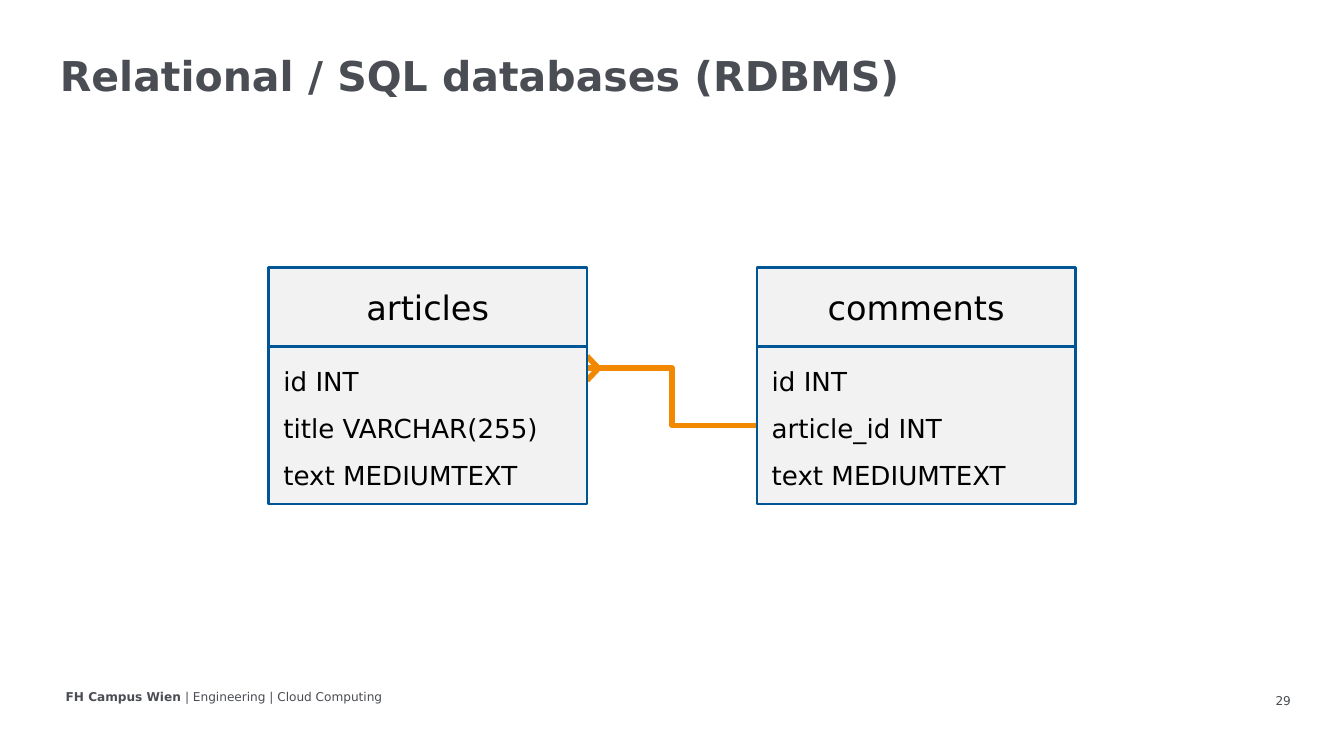
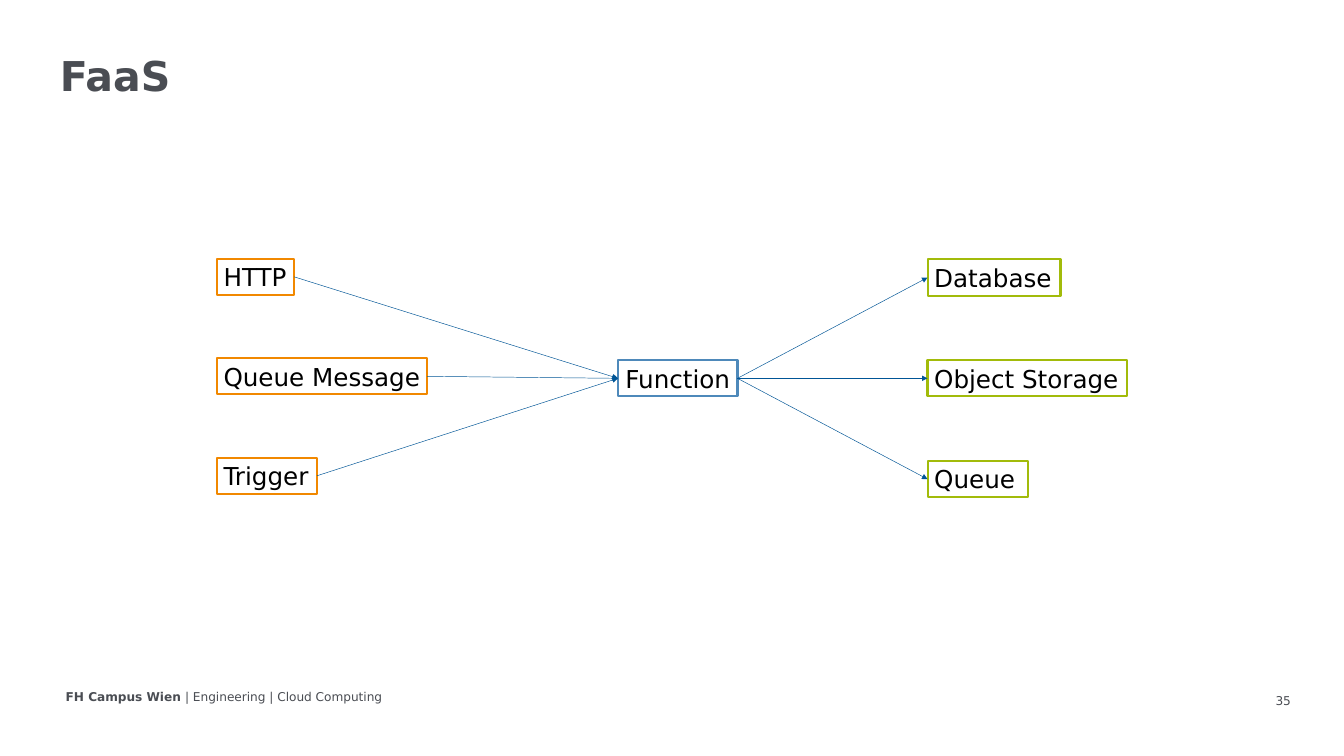
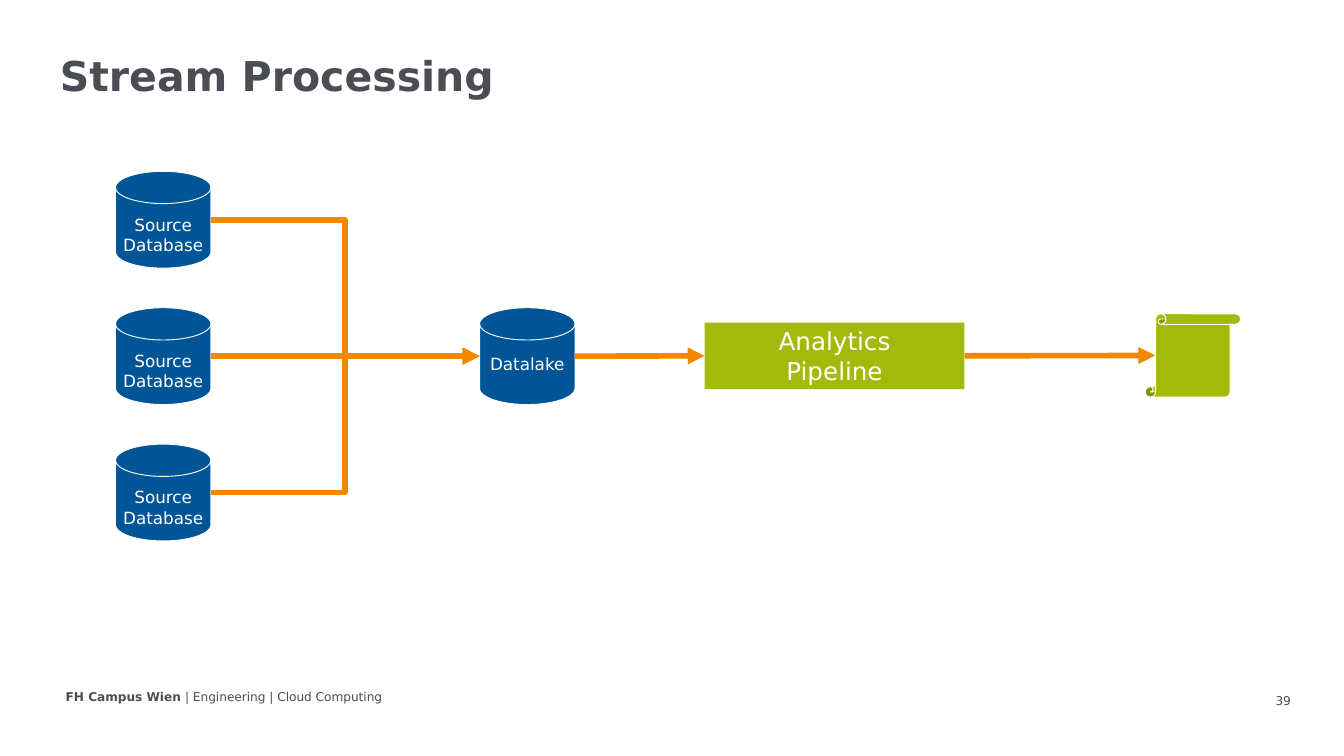
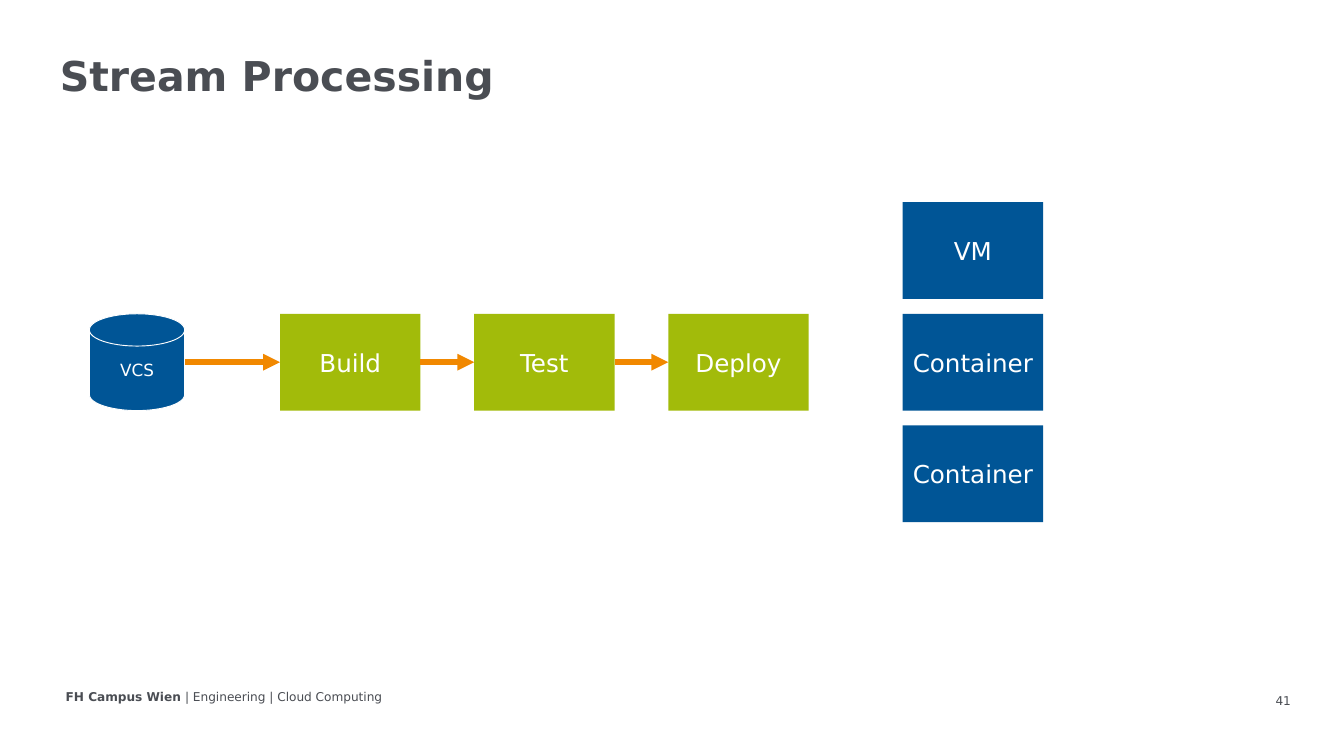
from dataclasses import dataclass

from lxml.etree import SubElement
from pptx import Presentation
from pptx.dml.color import RGBColor as RGB
from pptx.enum.shapes import MSO_CONNECTOR as Line, MSO_SHAPE as Shape
from pptx.enum.text import MSO_ANCHOR as Anchor, PP_ALIGN as Align
from pptx.oxml.ns import qn
from pptx.util import Pt

PX = 9144  # EMU per px, 100 px to the inch


@dataclass(frozen=True)
class Theme:
    font: str = "DejaVu Sans"
    grey: str = "4A4D53"
    black: str = "000000"
    white: str = "FFFFFF"
    panel: str = "F2F2F2"
    blue: str = "005596"
    light_blue: str = "4E89BA"
    orange: str = "F18800"
    green: str = "A2BB0A"
    title: float = 44
    heading: float = 36
    field: float = 28
    node: float = 26.4
    label: float = 18
    footer: float = 13
    flow: float = 6
    border: float = 3
    frame: float = 2.25
    hairline: float = 0.5


T = Theme()

# Content
FOOTER = [("FH Campus Wien ", True), ("| Engineering | Cloud Computing", False)]

TABLES = [
    ("articles", 400, ["id INT", "title VARCHAR(255)", "text MEDIUMTEXT"]),
    ("comments", 1127, ["id INT", "article_id INT", "text MEDIUMTEXT"]),
]

TRIGGERS = [("HTTP", 115), ("Queue Message", 313), ("Trigger", 149)]
OUTPUTS = [("Database", 198), ("Object Storage", 297), ("Queue", 149)]

SOURCES = [["Source", "Database"]] * 3
PIPELINE = ["Analytics", "Pipeline"]

STAGES = ["Build", "Test", "Deploy"]
TARGETS = ["VM", "Container", "Container"]

# Sizes
TITLE_AT = (79, 78, 1863, 77)
FOOTER_AT = (88, 1021, 678, 32)
NUMBER_AT = (1492, 1021, 450, 42)
TABLE_W, HEAD_H, BODY_H, TABLE_Y = 474, 118, 234, 398
NODE_H = 54
DISK_W, DISK_H = 142, 144
STAGE_W, STAGE_H = 209, 144


# Helpers
def emu(*lengths):
    return [n * PX for n in lengths]


def write(tf, lines, size, color, align=Align.LEFT, spacing=None, bold=False):
    """Fill a text frame; a line is a string or a list of (text, bold) runs."""
    tf.word_wrap = True
    for i, line in enumerate(lines):
        p = tf.paragraphs[0] if i == 0 else tf.add_paragraph()
        p.alignment = align
        if spacing:
            p.line_spacing = spacing
        for text, strong in [(line, bold)] if isinstance(line, str) else line:
            r = p.add_run()
            r.text = text
            r.font.name, r.font.size, r.font.bold = T.font, Pt(size), strong
            r.font.color.rgb = RGB.from_string(color)


def add_box(shapes, at, fill=None, line=None, width=1, geom=Shape.RECTANGLE):
    sp = shapes.add_shape(geom, *emu(*at))
    sp.shadow.inherit = False
    if fill:
        sp.fill.solid()
        sp.fill.fore_color.rgb = RGB.from_string(fill)
    else:
        sp.fill.background()
    if line:
        sp.line.width = Pt(width)
        sp.line.color.rgb = RGB.from_string(line)
    else:
        sp.line.fill.background()
    return sp


def add_line(s, start, end, color=T.orange, width=T.flow, bent=False, arrow=True):
    """Draw a connector between two points given in EMU."""
    c = s.shapes.add_connector(Line.ELBOW if bent else Line.STRAIGHT, *start, *end)
    c.line.width = Pt(width)
    c.line.color.rgb = RGB.from_string(color)
    sp_pr = c.element.spPr
    if arrow:
        SubElement(sp_pr.find(qn("a:ln")), qn("a:tailEnd"), type="triangle")
    SubElement(sp_pr, qn("a:effectLst"))


def link(s, a, b, inset=0, **style):
    """Arrow from the right side of a to the left side of b."""
    add_line(s, (a.left + a.width, a.top + a.height // 2),
             (b.left + inset * PX, b.top + b.height // 2), **style)


def add_disk(s, x, y, lines):
    """Database disk grouped with its label."""
    group = s.shapes.add_group_shape()
    disk = add_box(group.shapes, (x, y, DISK_W, DISK_H), T.blue, T.white,
                   geom=Shape.FLOWCHART_MAGNETIC_DISK)
    drop, height = (59, 71) if len(lines) > 1 else (64, 40)
    label = group.shapes.add_textbox(*emu(x, y + drop, DISK_W, height))
    write(label.text_frame, lines, T.label, T.white, Align.CENTER)
    return disk


def add_block(s, at, lines, fill):
    sp = add_box(s.shapes, at, fill)
    sp.text_frame.vertical_anchor = Anchor.MIDDLE
    write(sp.text_frame, lines, T.node, T.white, Align.CENTER)
    return sp


def add_node(s, x, y, w, text, line, align=Align.LEFT, wrap=True):
    sp = add_box(s.shapes, (x, y, w, NODE_H), None, line, T.frame)
    write(sp.text_frame, [text], T.node, T.black, align)
    sp.text_frame.vertical_anchor = Anchor.TOP
    sp.text_frame.word_wrap = wrap
    return sp


def new_slide(prs, title, number):
    """Slide with title, footer and page number."""
    s = prs.slides.add_slide(prs.slide_layouts[5])
    heading = s.shapes.title
    heading.left, heading.top, heading.width, heading.height = emu(*TITLE_AT)
    heading.text_frame.vertical_anchor = Anchor.TOP
    write(heading.text_frame, [title], T.title, T.grey, spacing=0.9, bold=True)

    footer = s.shapes.add_textbox(*emu(*FOOTER_AT))
    write(footer.text_frame, [FOOTER], T.footer, T.grey)

    tf = s.shapes.add_textbox(*emu(*NUMBER_AT)).text_frame
    tf.margin_left = tf.margin_right = 20 * PX
    tf.margin_top = tf.margin_bottom = 10 * PX
    tf.vertical_anchor = Anchor.MIDDLE
    write(tf, [str(number)], T.footer, T.grey, Align.RIGHT)
    return s


# Slides
def build_relational(prs):
    s = new_slide(prs, "Relational / SQL databases (RDBMS)", 29)
    # One-to-many relation with crow's foot
    edge, foot_y = TABLES[0][1] + TABLE_W, 548
    key_y = TABLE_Y + HEAD_H + BODY_H // 2
    add_line(s, emu(TABLES[1][1], key_y), emu(edge, foot_y), bent=True, arrow=False)
    for toe in (-18, 18):
        add_line(s, emu(edge + 17, foot_y), emu(edge, foot_y + toe), arrow=False)
    # Tables
    for name, x, fields in TABLES:
        head = add_box(s.shapes, (x, TABLE_Y, TABLE_W, HEAD_H),
                       T.panel, T.blue, T.border)
        head.text_frame.vertical_anchor = Anchor.MIDDLE
        write(head.text_frame, [name], T.heading, T.black, Align.CENTER)
        body = add_box(s.shapes, (x, TABLE_Y + HEAD_H, TABLE_W, BODY_H),
                       T.panel, T.blue, T.border)
        body.text_frame.vertical_anchor = Anchor.TOP
        body.text_frame.margin_left = 22 * PX
        write(body.text_frame, fields, T.field, T.black, spacing=1.5)


def build_faas(prs):
    s = new_slide(prs, "FaaS", 35)
    triggers = [add_node(s, 323, 385 + 148 * i, w, text, T.orange, wrap=False)
                for i, (text, w) in enumerate(TRIGGERS)]
    function = add_node(s, 920, 536, 178, "Function", T.light_blue, Align.CENTER)
    outputs = [add_node(s, 1381, 386 + 150 * i, w, text, T.green)
               for i, (text, w) in enumerate(OUTPUTS)]
    pairs = [(t, function) for t in triggers] + [(function, o) for o in outputs]
    for a, b in pairs:
        link(s, a, b, color=T.blue, width=T.hairline)


def build_stream(prs):
    s = new_slide(prs, "Stream Processing", 39)
    sources = [add_disk(s, 172, 255 + 203 * i, lines)
               for i, lines in enumerate(SOURCES)]
    lake = add_disk(s, 714, 458, ["Datalake"])
    for source in sources:
        link(s, source, lake, bent=source.top != lake.top)
    pipeline = add_block(s, (1049, 480, 387, 99), PIPELINE, T.green)
    report = add_box(s.shapes, (1705, 467, 142, 124), T.green, T.white,
                     geom=Shape.VERTICAL_SCROLL)
    link(s, lake, pipeline)
    link(s, pipeline, report, inset=15)


def build_delivery(prs):
    s = new_slide(prs, "Stream Processing", 41)
    row_y = 467
    chain = [add_disk(s, 133, row_y, ["VCS"])]
    chain += [add_block(s, (417 + 289 * i, row_y, STAGE_W, STAGE_H), [name], T.green)
              for i, name in enumerate(STAGES)]
    for a, b in zip(chain, chain[1:]):
        link(s, a, b)
    for i, name in enumerate(TARGETS):
        add_block(s, (1344, row_y + 166 * (i - 1), STAGE_W, STAGE_H), [name], T.blue)


def main():
    prs = Presentation()
    prs.slide_width, prs.slide_height = emu(2001, 1125)
    for build in (build_relational, build_faas, build_stream, build_delivery):
        build(prs)
    prs.save("out.pptx")


if __name__ == "__main__":
    main()
